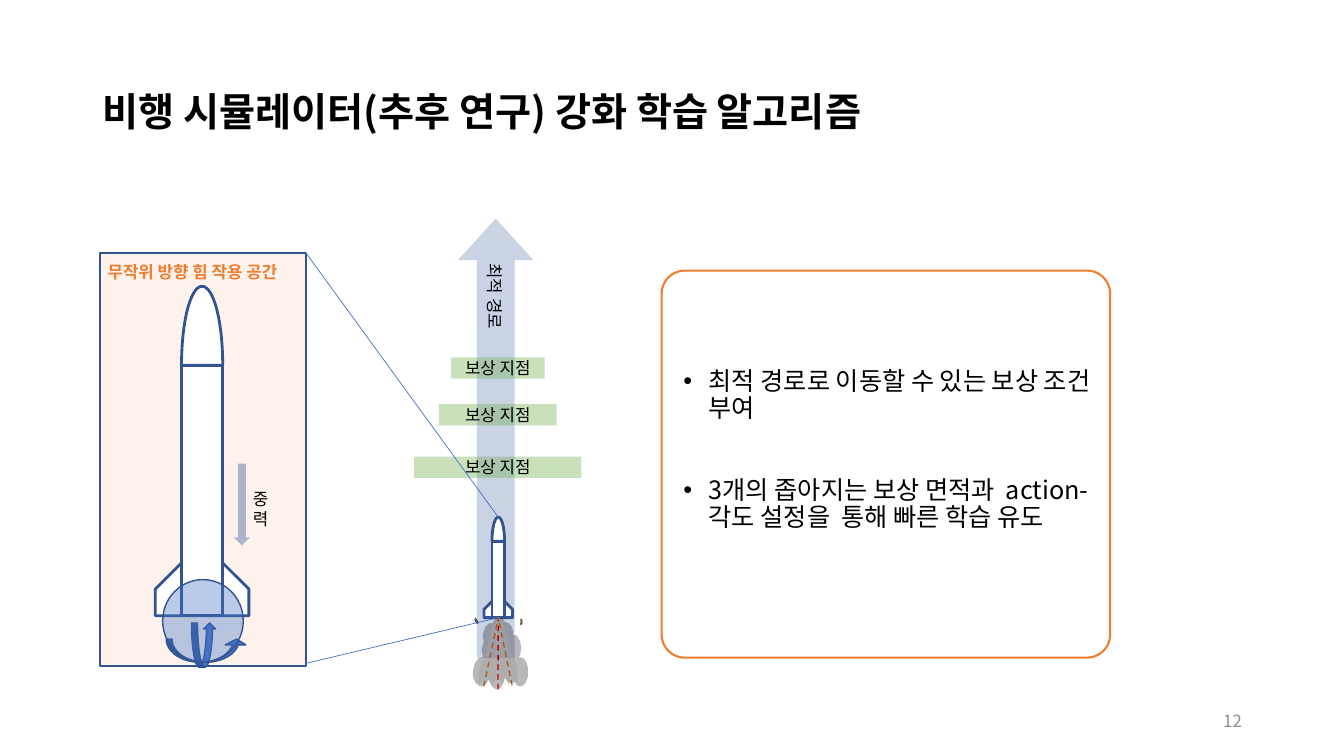
from lxml.etree import SubElement
from pptx import Presentation
from pptx.dml.color import RGBColor
from pptx.enum.dml import MSO_LINE
from pptx.enum.shapes import MSO_CONNECTOR, MSO_SHAPE
from pptx.enum.text import MSO_ANCHOR, MSO_AUTO_SIZE, PP_ALIGN
from pptx.oxml.ns import qn
from pptx.util import Pt

THEME = dict(
    font="Noto Sans CJK KR", title=28, body=18, label=12,
    ink="000000", white="FFFFFF", navy="2F5597", outline="325491", blue="4472C4",
    orange="ED7D31", green="70AD47", red="FF0000", smoke="E7E6E6", muted="8C8C8C",
)

TITLE = "비행 시뮬레이터(추후 연구) 강화 학습 알고리즘"
POINTS = [
    "최적 경로로 이동할 수 있는 보상 조건 부여",
    "3개의 좁아지는 보상 면적과  action-각도 설정을  통해 빠른 학습 유도",
]
PATH_LABEL = "최적 경로"
REWARD_LABEL = "보상 지점"
PANEL_LABEL = "무작위 방향 힘 작용 공간"
GRAVITY_LABEL = "중력"
PAGE = "12"

REWARDS = [(255.3, 67), (326.2, 119.5), (288.7, 84.2)]
REWARD_CENTER, REWARD_HEIGHT = 355.6, 15.1
PANEL = (71.7, 180.9, 147, 294.8)
LARGE_ROCKET = (144.4, 204.5, 235.4)
SMALL_ROCKET = (355.9, 369.4, 71.8)
SIDE_PLUMES = [(360.4, 465.8, 13, 51.1, -9.9), (351.7, 465.8, 13, 51.1, 12.1)]
MAIN_PLUME = (357.5, 466.6, 39.6, 51.8, 0)
FLAMES = [(355.7, 492.5, "red"), (365.8, 489.6, "orange"), (345.6, 490.3, "orange")]
SWINGS = [(339.8, 433.4, 335), (339.1, 434.2, 335), (360, 437, 185), (360.7, 437, 185)]
TURNS = [((118.8, 456.5, 57.6, 16.6), (0.25, 0.89, 0.25)),
         ((136.8, 445, 17.3, 31.7), (0.25, 0.5, 0.25))]

PLUME_GRID = (55, 72)
PLUME = [
    (0, 55), (1, 47, 4, 40, 9, 40), (10, 41), (10, 40), (10, 39), (9, 37, 9, 36, 9, 34),
    (9, 32, 9, 30, 10, 28), (11, 25), (10, 20), (10, 12, 14, 6, 18, 6), (20, 6), (20, 5),
    (22, 2, 24, 0, 26, 0), (28, 0, 30, 2, 32, 5), (36, 5, 39, 9, 40, 14), (40, 18), (43, 18),
    (46, 21, 48, 26, 48, 32), (48, 34, 47, 36, 47, 38), (45, 41), (47, 40),
    (52, 40, 55, 47, 55, 55), (55, 62, 52, 69, 47, 69), (46, 69, 45, 68, 44, 68),
    (42, 65), (41, 65), (41, 66, 39, 66, 38, 66), (36, 66, 34, 65, 33, 62),
    (32, 60), (31, 63), (30, 68, 27, 72, 24, 72), (21, 72, 18, 68, 16, 63),
    (16, 62), (14, 65), (13, 67, 11, 69, 9, 69), (4, 69, 0, 63, 0, 55),
]
NOSE_GRID = (41, 79)
NOSE = [(0, 79), (0, 35, 9, 0, 20.5, 0), (32, 0, 41, 35, 41, 79)]

prs = Presentation()
prs.slide_width, prs.slide_height = Pt(960), Pt(540)
slide = prs.slides.add_slide(prs.slide_layouts[1])
shapes = slide.shapes


def color(name):
    return RGBColor.from_string(THEME[name])


def place(shape, box):
    shape.left, shape.top, shape.width, shape.height = map(Pt, box)


def paint(shape, fill=None, alpha=100, line=None, weight=1):
    shape.shadow.inherit = False
    if fill:
        shape.fill.solid()
        shape.fill.fore_color.rgb = color(fill)
        if alpha < 100:
            tint = shape.fill._xPr.find(qn("a:solidFill"))[0]
            SubElement(tint, qn("a:alpha"), val=str(alpha * 1000))
    else:
        shape.fill.background()
    if line:
        shape.line.color.rgb = color(line)
        shape.line.width = Pt(weight)
    else:
        shape.line.fill.background()
    return shape


def preset(kind, box, adjust=(), rotation=0, **look):
    shape = shapes.add_shape(kind, *map(Pt, box))
    for index, value in enumerate(adjust):
        shape.adjustments[index] = value
    shape.rotation = rotation
    return paint(shape, **look)


def outline(steps, grid, box, rotation=0, **look):
    left, top, width, height = box

    def scaled(x, y):
        return Pt(x * width / grid[0]), Pt(y * height / grid[1])

    ends = [scaled(*step[-2:]) for step in steps]
    builder = shapes.build_freeform(*ends[0], scale=1.0)
    builder.add_line_segments(ends[1:], close=True)
    shape = builder.convert_to_shape(Pt(left), Pt(top))
    segments = list(shape._element.spPr.iter(qn("a:lnTo")))
    for segment, step in zip(segments, steps[1:]):
        if len(step) == 6:
            curve = segment.makeelement(qn("a:cubicBezTo"))
            for index in (0, 2, 4):
                x, y = scaled(*step[index:index + 2])
                SubElement(curve, qn("a:pt"), x=str(x), y=str(y))
            segment.getparent().replace(segment, curve)
    shape.rotation = rotation
    return paint(shape, **look)


def write(shape, *lines, size="label", ink="ink", bold=False, align=PP_ALIGN.LEFT,
          anchor=MSO_ANCHOR.TOP, inset=None, spacing=None, gap=0, bullet=False):
    frame = shape.text_frame
    frame.word_wrap = True
    frame.auto_size = MSO_AUTO_SIZE.NONE
    frame.vertical_anchor = anchor
    if inset is not None:
        frame.margin_left = frame.margin_right = frame.margin_top = frame.margin_bottom = Pt(inset)
    for index, line in enumerate(lines):
        paragraph = frame.add_paragraph() if index else frame.paragraphs[0]
        if bullet:
            props = paragraph._p.get_or_add_pPr()
            props.set("marL", str(Pt(18)))
            props.set("indent", str(-Pt(18)))
            SubElement(props, qn("a:buChar"), char="•")
        paragraph.alignment = align
        paragraph.space_before = Pt(gap if index else 0)
        if spacing:
            paragraph.line_spacing = spacing
        run = paragraph.add_run()
        run.text = line
        run.font.size = Pt(THEME[size])
        run.font.bold = bold
        run.font.color.rgb = color(ink)
        run.font.name = THEME["font"]


def label(box, text, rotation=0, **style):
    shape = shapes.add_textbox(*map(Pt, box))
    shape.rotation = rotation
    write(shape, text, **style)


def connect(start, end, line, weight, dash=None, target=None):
    connector = shapes.add_connector(MSO_CONNECTOR.STRAIGHT, *map(Pt, start + end))
    connector.line.color.rgb = color(line)
    connector.line.width = Pt(weight)
    if dash:
        connector.line.dash_style = dash
    SubElement(connector._element.spPr, qn("a:effectLst"))
    if target:
        connector.end_connect(target, 2)


def rocket(center, top, height):
    look = dict(fill="white", line="outline", weight=2)
    nose, girth, span, fin = (height * part for part in (0.24, 0.125, 0.284, 0.162))
    outline(NOSE, NOSE_GRID, (center - girth / 2, top, girth, nose), **look)
    preset(MSO_SHAPE.SNIP_2_SAME_RECTANGLE,
           (center - span / 2, top + height - fin, span, fin), (0.5, 0), **look)
    return preset(MSO_SHAPE.RECTANGLE,
                  (center - girth / 2, top + nose, girth, height - nose), **look)


def plume(center, middle, width, height, rotation, **look):
    outline(PLUME, PLUME_GRID, (center - width / 2, middle - height / 2, width, height),
            rotation, **look)


place(shapes.title, (66.2, 28.8, 828, 104.4))
write(shapes.title, TITLE, size="title", bold=True, anchor=MSO_ANCHOR.MIDDLE, spacing=0.9)
points = slide.placeholders[1]
place(points, (481, 259.9, 318.2, 155.5))
write(points, *POINTS, size="body", spacing=0.9, gap=39, bullet=True)

preset(MSO_SHAPE.UP_ARROW, (327.1, 156.2, 54, 313.9), (0.5, 0.55), fill="navy", alpha=26)
for left, top, rotation in SWINGS:
    preset(MSO_SHAPE.ARC, (left, top, 12.2, 13.7), (157.52 * 0.6, 196.21 * 0.6), rotation,
           line="ink", weight=0.5)
small_body = rocket(*SMALL_ROCKET)
nozzle = (SMALL_ROCKET[0], SMALL_ROCKET[1] + SMALL_ROCKET[2])
for side_plume in SIDE_PLUMES:
    plume(*side_plume, fill="smoke", alpha=53)
for x, y, tone in FLAMES:
    connect((x, y), nozzle, tone, 1, MSO_LINE.DASH, small_body)
plume(*MAIN_PLUME, fill="ink", alpha=28)
label((320.4, 203.8, 67, 21.6), PATH_LABEL, rotation=90)
for top, width in REWARDS:
    reward = preset(MSO_SHAPE.RECTANGLE,
                    (REWARD_CENTER - width / 2, top, width, REWARD_HEIGHT),
                    fill="green", alpha=37)
    write(reward, REWARD_LABEL, align=PP_ALIGN.CENTER, anchor=MSO_ANCHOR.MIDDLE, inset=0)

preset(MSO_SHAPE.RECTANGLE, PANEL, fill="orange", alpha=9, line="outline", weight=1.5)
rocket(*LARGE_ROCKET)
for box, adjust in TURNS:
    preset(MSO_SHAPE.CURVED_UP_ARROW, box, adjust, fill="blue", line="outline")
preset(MSO_SHAPE.OVAL, (116.2, 414, 57.6, 59), fill="blue", alpha=37, line="outline")
preset(MSO_SHAPE.DOWN_ARROW, (167, 331.2, 11.5, 58.3), fill="navy", alpha=39)
label((173.5, 345.6, 34.6, 19.4), GRAVITY_LABEL)
label((69.8, 183.6, 152.6, 21.6), PANEL_LABEL, ink="orange", bold=True)

panel_right = PANEL[0] + PANEL[2]
connect((panel_right, PANEL[1]), SMALL_ROCKET[:2], "blue", 0.5)
connect((panel_right, 473.8), nozzle, "blue", 0.5, target=small_body)
label((678.2, 500.4, 216, 28.8), PAGE, ink="muted", align=PP_ALIGN.RIGHT, anchor=MSO_ANCHOR.MIDDLE)
preset(MSO_SHAPE.ROUNDED_RECTANGLE, (472.6, 193.3, 320.4, 276.5), (0.06,), line="orange", weight=1.5)

prs.save("out.pptx")
